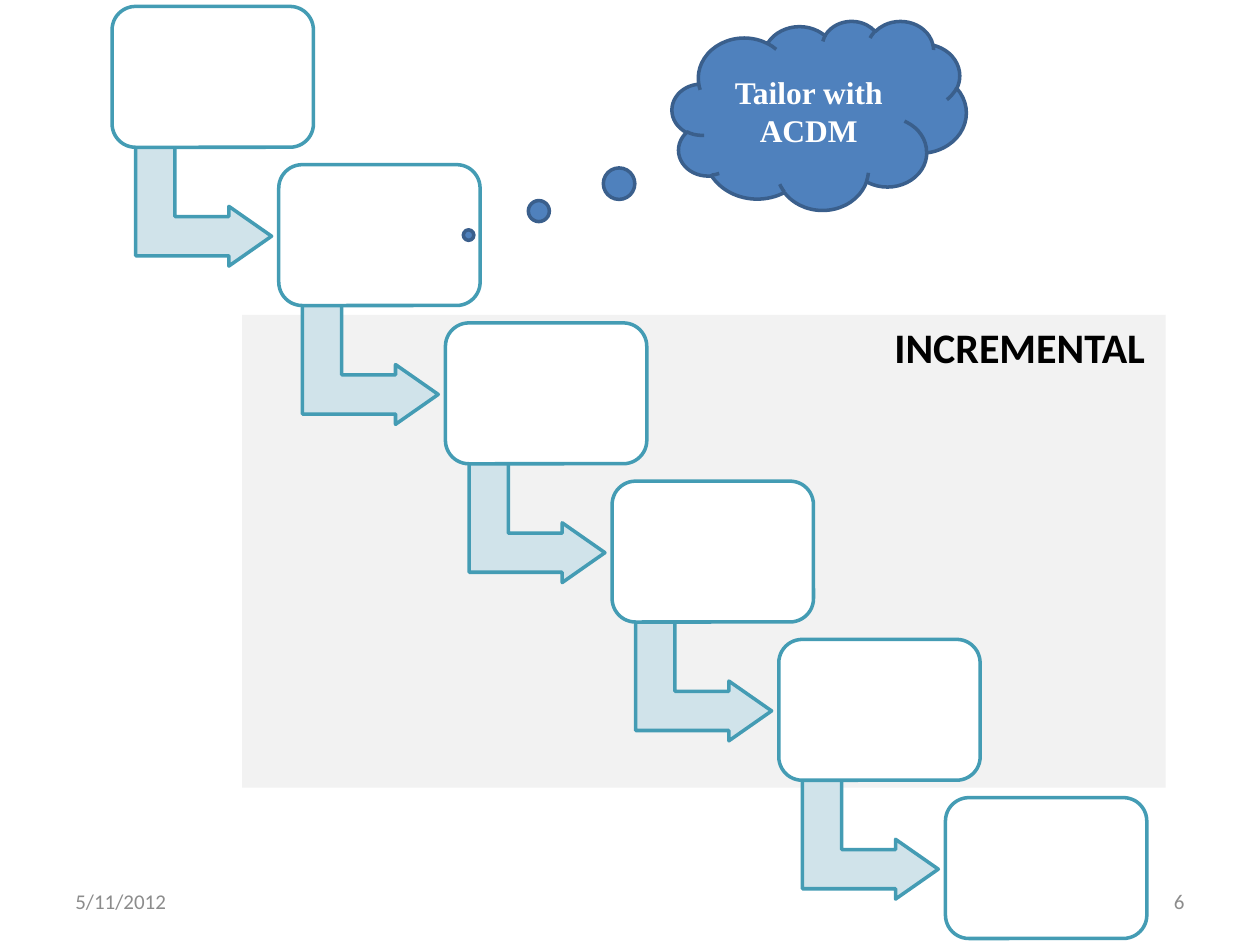
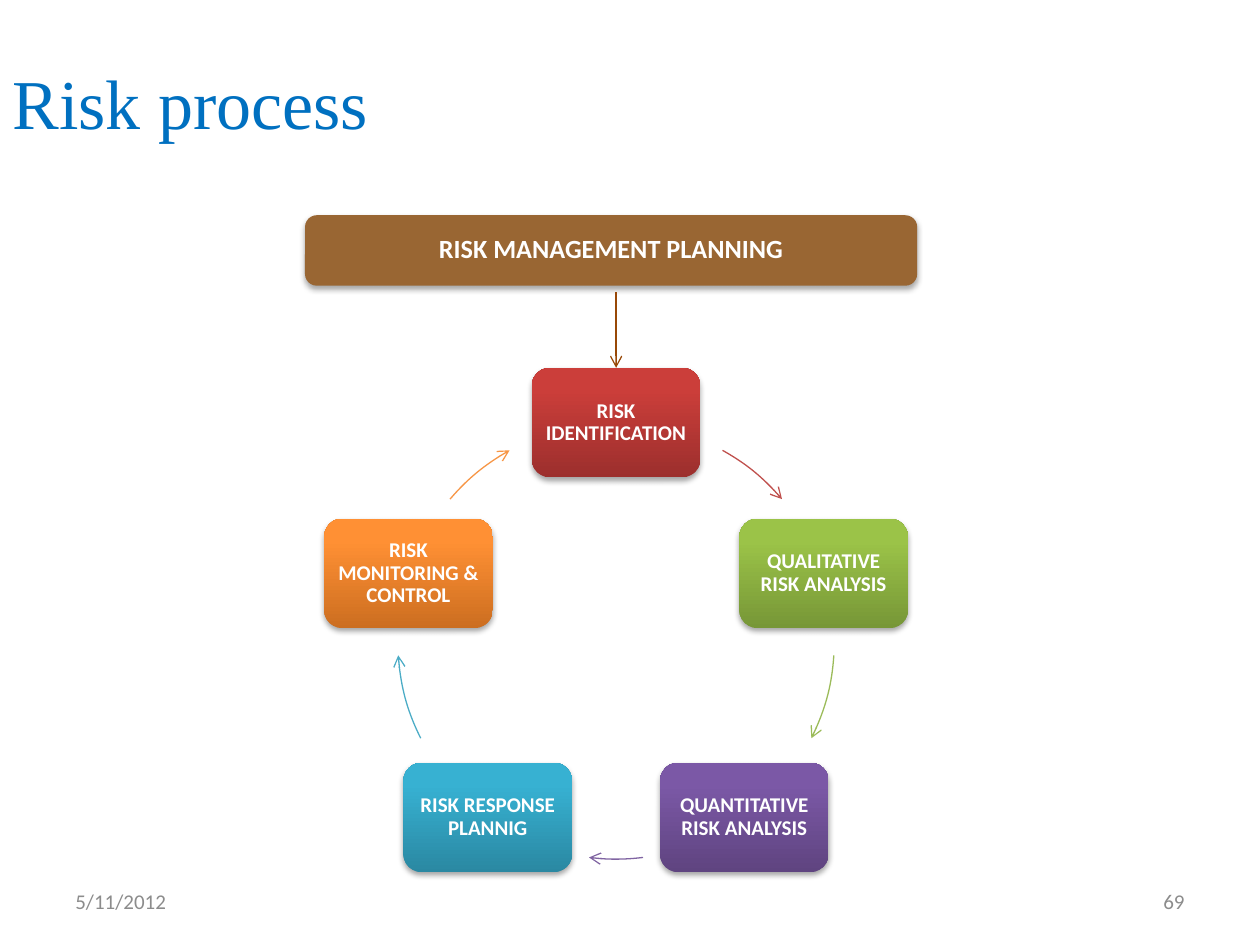
from math import cos, radians, sin

from pptx import Presentation
from pptx.dml.color import RGBColor
from pptx.enum.shapes import MSO_CONNECTOR, MSO_SHAPE
from pptx.enum.text import MSO_ANCHOR, PP_ALIGN
from pptx.oxml import parse_xml
from pptx.oxml.ns import nsdecls, qn
from pptx.util import Cm, Pt

RECT, ROUND = MSO_SHAPE.RECTANGLE, MSO_SHAPE.ROUNDED_RECTANGLE
BENT, CLOUD, ARC = MSO_SHAPE.BENT_UP_ARROW, MSO_SHAPE.CLOUD_CALLOUT, MSO_SHAPE.ARC
LEFT, MID, RIGHT = PP_ALIGN.LEFT, PP_ALIGN.CENTER, PP_ALIGN.RIGHT
CENTRE, TOP = MSO_ANCHOR.MIDDLE, MSO_ANCHOR.TOP

SANS, SERIF = "Calibri", "Times New Roman"
WHITE = RGBColor(0xFF, 0xFF, 0xFF)
BLACK = RGBColor(0, 0, 0)
GREY = RGBColor(0x8C, 0x8C, 0x8C)
PALE = RGBColor(0xF2, 0xF2, 0xF2)
TEAL = RGBColor(0x44, 0x9C, 0xB4)
ICE = RGBColor(0xD0, 0xE3, 0xEA)
BLUE = RGBColor(0x4F, 0x81, 0xBD)
NAVY = RGBColor(0x3A, 0x5F, 0x8C)
TITLE = RGBColor(0x00, 0x70, 0xC0)
BROWN = RGBColor(0x99, 0x66, 0x33)
RUST = RGBColor(0x98, 0x48, 0x07)

# Content
DATE = "5/11/2012"
STEPS = 6
# label, dark fill, light fill, arrow colour, arrow start and end in degrees
CYCLE = [
    ("RISK IDENTIFICATION", "9C2F2D", "CB3E3A", "C0504D", 299.2, 319.5),
    ("QUALITATIVE RISK ANALYSIS", "779737", "9BC348", "9BBB59", 3.8, 26.5),
    ("QUANTITATIVE RISK ANALYSIS", "5F4480", "7B58A6", "8064A2", 82.9, 97.1),
    ("RISK RESPONSE PLANNIG", "2A88A2", "37B1D2", "4BACC6", 153.5, 176.2),
    ("RISK MONITORING & CONTROL", "CC6E20", "FF9034", "F79646", 220.5, 240.8),
]

# Geometry in cm
BOX_W, BOX_H = 4.06, 2.84
STEP_X, STEP_Y = 3.36, 3.19
HUB_X, HUB_Y, RADIUS = 12.42, 12.92, 4.4
NODE_W, NODE_H = 3.4, 2.21


def write(shape, text, size, color, font=SANS, bold=False, align=MID,
          anchor=CENTRE, inset=None, space=None):
    frame = shape.text_frame
    frame.word_wrap = True
    frame.vertical_anchor = anchor
    if inset is not None:
        frame.margin_left = frame.margin_right = Cm(inset)
        frame.margin_top = frame.margin_bottom = Cm(inset)
    para = frame.paragraphs[0]
    para.alignment = align
    if space:
        para.line_spacing = space
    run = para.add_run()
    run.text = text
    run.font.name, run.font.size, run.font.bold = font, Pt(size), bold
    run.font.color.rgb = color


def label(slide, text, x, y, w, h, size, color, **style):
    box = slide.shapes.add_textbox(Cm(x), Cm(y), Cm(w), Cm(h))
    write(box, text, size, color, **style)


def draw(slide, kind, x, y, w, h, fill=None, line=None, width=2, adj=()):
    shape = slide.shapes.add_shape(kind, Cm(x), Cm(y), Cm(w), Cm(h))
    shape.shadow.inherit = False
    for i, value in enumerate(adj):
        shape.adjustments[i] = value
    if fill is None:
        shape.fill.background()
    else:
        shape.fill.solid()
        shape.fill.fore_color.rgb = fill
    if line is None:
        shape.line.fill.background()
    else:
        shape.line.color.rgb = line
        shape.line.width = Pt(width)
    return shape


def point(shape):
    """Put an open arrowhead at the end of a line."""
    line = shape._element.spPr.find(qn("a:ln"))
    line.append(parse_xml(f'<a:tailEnd {nsdecls("a")} type="arrow"/>'))


def lift(shape):
    """Give a shape a soft shadow below it."""
    shape._element.spPr.find(qn("a:effectLst")).append(parse_xml(
        f'<a:outerShdw {nsdecls("a")} blurRad="40000" dist="23000" '
        'dir="5400000" rotWithShape="0"><a:srgbClr val="000000">'
        '<a:alpha val="35000"/></a:srgbClr></a:outerShdw>'))


def shade(shape, dark, light):
    fill = shape.fill
    fill.gradient()
    fill.gradient_angle = 90
    for stop, color, place in zip(fill.gradient_stops, (dark, light), (0, 0.8)):
        stop.color.rgb = RGBColor.from_string(color)
        stop.position = place


def footer(slide, number):
    for text, x, align in ((DATE, 1.27, LEFT), (number, 18.2, RIGHT)):
        label(slide, text, x, 17.66, 5.93, 1.01, 12, GREY, align=align)


def stairs(deck):
    slide = deck.slides.add_slide(deck.slide_layouts[6])
    draw(slide, RECT, 4.88, 6.35, 18.62, 9.53, PALE)
    # Steps, each with an arrow down to the next
    for i in range(STEPS):
        x, y = 2.26 + i * STEP_X, 0.13 + i * STEP_Y
        if i < STEPS - 1:
            arrow = draw(slide, BENT, x + 0.64, y + 2.66, 2.41, 2.74,
                         ICE, TEAL, adj=(0.328, 0.25, 0.358))
            arrow.rotation = 90
        draw(slide, ROUND, x, y, BOX_W, BOX_H, WHITE, TEAL)
    footer(slide, "6")
    # Callout and band name
    cloud = draw(slide, CLOUD, 13.55, 0.42, 5.93, 3.81, BLUE, NAVY,
                 adj=(-1.192, 0.634))
    write(cloud, "Tailor with ACDM", 18, WHITE, font=SERIF, bold=True)
    label(slide, "INCREMENTAL", 17.78, 6.35, 5.72, 1.27, 24, BLACK,
          bold=True, align=LEFT, anchor=TOP)


def risks(deck):
    slide = deck.slides.add_slide(deck.slide_layouts[5])
    title = slide.shapes.title
    title.left, title.top = Cm(0), Cm(0)
    title.width, title.height = Cm(23.5), Cm(4.09)
    write(title, "Risk process", 40, TITLE, font=SERIF, align=LEFT)
    footer(slide, "69")

    # Cycle of nodes and arcs
    nodes = []
    for i, (name, dark, light, color, start, end) in enumerate(CYCLE):
        angle = radians(i * 360 / len(CYCLE) - 90)
        x = HUB_X + RADIUS * cos(angle) - NODE_W / 2
        y = HUB_Y + RADIUS * sin(angle) - NODE_H / 2
        node = draw(slide, ROUND, x, y, NODE_W, NODE_H)
        shade(node, dark, light)
        lift(node)
        write(node, name, 12, WHITE, bold=True, inset=0.12, space=0.9)
        nodes.append(node)
        # Arc angles are stored in 60000ths of a degree, scaled by 100000
        arc = draw(slide, ARC, HUB_X - RADIUS, HUB_Y - RADIUS,
                   2 * RADIUS, 2 * RADIUS, line=RGBColor.from_string(color),
                   width=0.75, adj=(start * 0.6, end * 0.6))
        point(arc)

    # Planning banner and its arrow into the cycle
    banner = draw(slide, ROUND, 6.15, 4.34, 12.34, 1.42, BROWN)
    lift(banner)
    write(banner, "RISK MANAGEMENT PLANNING", 15, WHITE, bold=True,
          inset=0.15, space=0.9)
    link = slide.shapes.add_connector(MSO_CONNECTOR.STRAIGHT, Cm(HUB_X),
                                      Cm(5.89), Cm(HUB_X), Cm(7.37))
    link.end_connect(nodes[0], 0)
    link.line.color.rgb = RUST
    link.line.width = Pt(0.75)
    point(link)
    link._element.spPr.append(parse_xml(f'<a:effectLst {nsdecls("a")}/>'))


def main():
    deck = Presentation()
    deck.slide_width, deck.slide_height = Cm(25.4), Cm(19.05)
    stairs(deck)
    risks(deck)
    deck.save("out.pptx")


if __name__ == "__main__":
    main()
